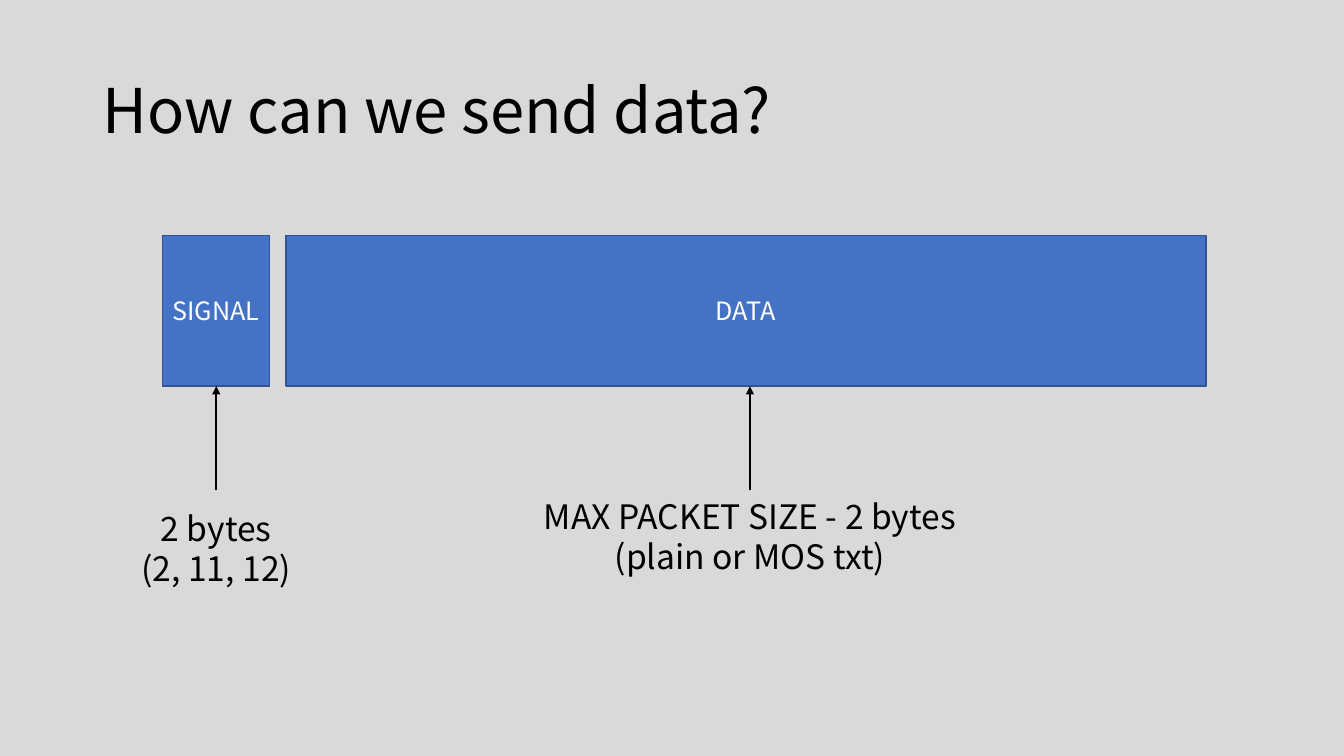
"""Build a slide on the parts of a data packet."""
from lxml import etree
from pptx import Presentation, util as u
from pptx.dml.color import RGBColor
from pptx.enum import shapes as sh, text as tx
from pptx.oxml.ns import qn


def paint(fill, hue):
    fill.solid()
    fill.fore_color.rgb = RGBColor.from_string(hue)


def style(frame, size, hue, align):
    frame.vertical_anchor = tx.MSO_ANCHOR.MIDDLE
    for para in frame.paragraphs:
        para.alignment = align
        for run in para.runs:
            run.font.size = u.Pt(size)
            run.font.name = "Noto Sans CJK KR"
            paint(run.font.fill, hue)


deck = Presentation()
deck.slide_width, deck.slide_height = u.Cm(33.87), u.Cm(19.05)
slide = deck.slides.add_slide(deck.slide_layouts[5])
paint(slide.background.fill, "D9D9D9")

title = slide.shapes.title
title.left, title.top = u.Cm(2.33), u.Cm(1.01)
title.width, title.height = u.Cm(29.21), u.Cm(3.68)
title.text_frame.text = "How can we send data?"
title.text_frame.auto_size = tx.MSO_AUTO_SIZE.NONE
title.text_frame.paragraphs[0].line_spacing = 0.9
style(title.text_frame, 44, "000000", tx.PP_ALIGN.LEFT)

top, high, foot = 5.94, 3.79, 12.34
parts = [
    ("SIGNAL", 4.09, 2.7, 5.45, "2 bytes\n(2, 11, 12)", 4.9, 12.67),
    ("DATA", 7.21, 23.18, 18.9,
     "MAX PACKET SIZE - 2 bytes\n(plain or MOS txt)", 12.09, 12.37),
]
for name, left, wide, mid, note, span, drop in parts:
    box = slide.shapes.add_shape(
        sh.MSO_SHAPE.RECTANGLE, u.Cm(left), u.Cm(top), u.Cm(wide), u.Cm(high))
    box.shadow.inherit = False
    paint(box.fill, "4472C4")
    paint(box.line.fill, "325491")
    box.line.width = u.Pt(1)
    box.text_frame.text = name
    box.text_frame.word_wrap = False
    style(box.text_frame, 18, "FFFFFF", tx.PP_ALIGN.CENTER)

    arrow = slide.shapes.add_connector(
        sh.MSO_CONNECTOR.STRAIGHT,
        u.Cm(mid), u.Cm(foot), u.Cm(mid), u.Cm(top + high))
    paint(arrow.line.fill, "000000")
    arrow.line.width = u.Pt(1.5)
    etree.SubElement(arrow.line._get_or_add_ln(), qn("a:tailEnd"), type="triangle")
    etree.SubElement(arrow._element.spPr, qn("a:effectLst"))

    label = slide.shapes.add_textbox(
        u.Cm(mid - span / 2), u.Cm(drop), u.Cm(span), u.Cm(2.31))
    label.text_frame.text = note
    label.text_frame.word_wrap = True
    label.text_frame.auto_size = tx.MSO_AUTO_SIZE.SHAPE_TO_FIT_TEXT
    style(label.text_frame, 24, "000000", tx.PP_ALIGN.CENTER)
    label.text_frame.vertical_anchor = tx.MSO_ANCHOR.TOP

deck.save("out.pptx")
